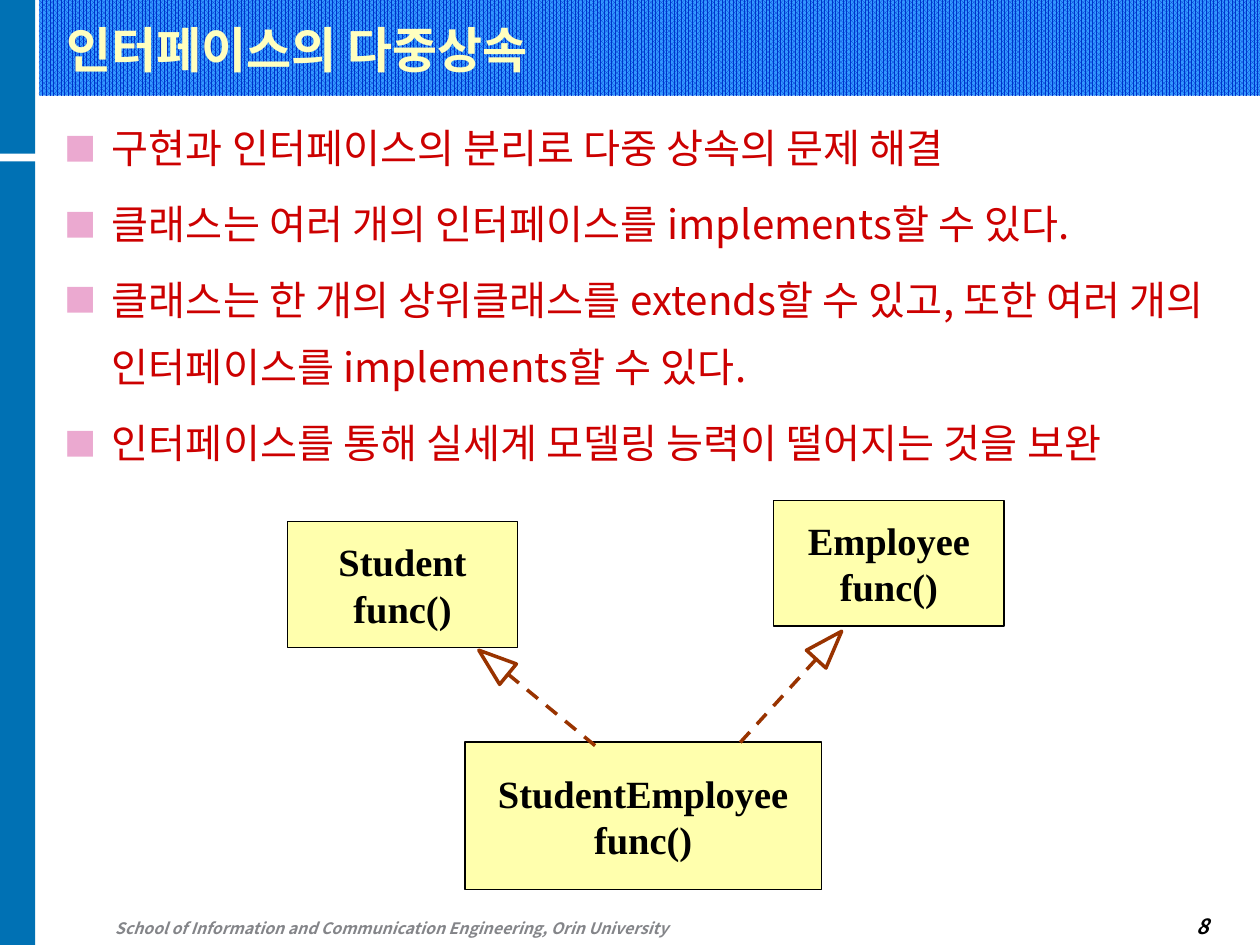
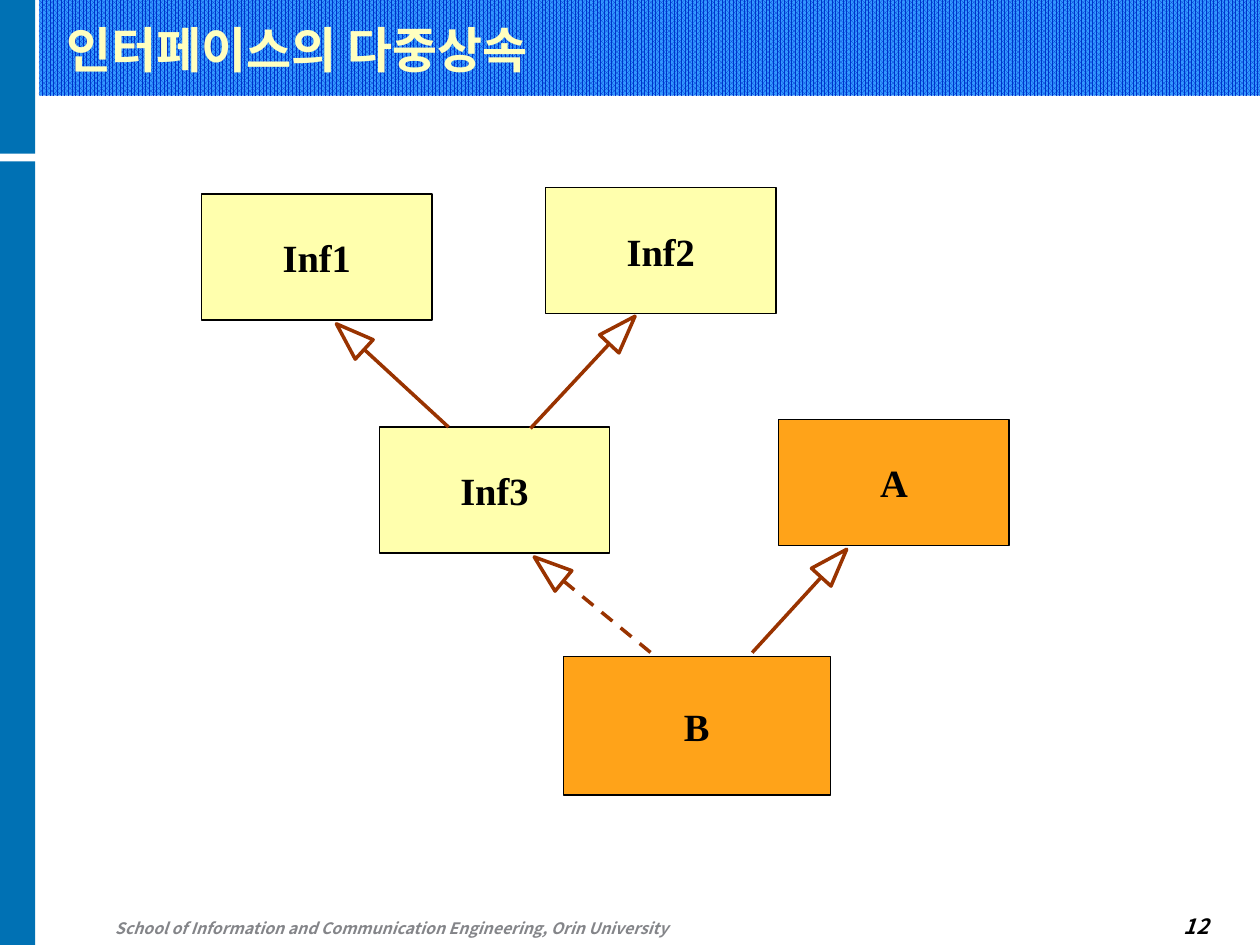
"""Two slides on multiple inheritance through interfaces, with class diagrams."""
import math
from dataclasses import dataclass

from lxml import etree
from pptx import Presentation
from pptx.dml.color import RGBColor
from pptx.enum.dml import MSO_LINE, MSO_PATTERN
from pptx.enum.shapes import MSO_CONNECTOR, MSO_SHAPE
from pptx.enum.text import MSO_ANCHOR, PP_ALIGN
from pptx.oxml.ns import qn
from pptx.util import Inches, Pt

RECTANGLE, TRIANGLE = MSO_SHAPE.RECTANGLE, MSO_SHAPE.ISOSCELES_TRIANGLE
STRAIGHT, DASH = MSO_CONNECTOR.STRAIGHT, MSO_LINE.DASH
DENSE_DOTS = MSO_PATTERN.PERCENT_80
TOP, MIDDLE, BOTTOM = MSO_ANCHOR.TOP, MSO_ANCHOR.MIDDLE, MSO_ANCHOR.BOTTOM
LEFT, CENTER, RIGHT = PP_ALIGN.LEFT, PP_ALIGN.CENTER, PP_ALIGN.RIGHT


@dataclass(frozen=True)
class Theme:
    """Colours, fonts and sizes shared by the slides."""
    band_dots: str = "0033CC"
    band_ground: str = "3399FF"
    side_bar: str = "0071B4"
    title: str = "FFFFBF"
    body: str = "CC0000"
    bullet: str = "EBA9D0"
    footer: str = "848589"
    ink: str = "000000"
    interface: str = "FFFFAD"
    concrete: str = "FF9900"
    arrow: str = "993300"
    text_font: str = "Noto Sans CJK KR"
    code_font: str = "Times New Roman"
    title_size: float = 28
    body_size: float = 23
    code_size: float = 22
    number_size: float = 12
    footer_size: float = 9
    outline: float = 0.75
    arrow_width: float = 2


FOOTER = "School of Information and Communication Engineering, Orin University"
TITLE = "인터페이스의 다중상속"
POINTS = (
    "구현과 인터페이스의 분리로 다중 상속의 문제 해결",
    "클래스는 여러 개의 인터페이스를 implements할 수 있다.",
    "클래스는 한 개의 상위클래스를 extends할 수 있고, 또한 여러 개의 인터페이스를 implements할 수 있다.",
    "인터페이스를 통해 실세계 모델링 능력이 떨어지는 것을 보완",
)
BOX_SIZE = (1.83, 1)
HEAD_WIDTH, HEAD_LENGTH = 0.21, 0.3


class Deck:
    """Holds the theme and the current slide, and draws each kind of element."""

    def __init__(self, theme):
        """Start an empty 10 by 7.5 inch presentation."""
        self.theme = theme
        self.presentation = Presentation()
        self.presentation.slide_width = Inches(10)
        self.presentation.slide_height = Inches(7.5)
        self.slide = None

    def new_slide(self, number):
        """Add a slide with its band, side bars, footer, number and title."""
        theme = self.theme
        self.slide = self.presentation.slides.add_slide(self.presentation.slide_layouts[6])
        band = self.shape(RECTANGLE, 0.31, 0, 9.69, 0.76)
        band.fill.patterned()
        band.fill.pattern = DENSE_DOTS
        band.fill.fore_color.rgb = RGBColor.from_string(theme.band_dots)
        band.fill.back_color.rgb = RGBColor.from_string(theme.band_ground)
        for top, height in ((0, 1.22), (1.28, 6.22)):
            self.shape(RECTANGLE, 0, top, 0.28, height, theme.side_bar)
        self.label(FOOTER, (0, 7.21, 6.21, 0.28), theme.footer_size, theme.footer, CENTER, True)
        self.label(number, (7.36, 7, 2.33, 0.5), theme.number_size, theme.ink, RIGHT, True)
        self.label(TITLE, (0.43, 0.13, 8.35, 0.54), theme.title_size, theme.title)

    def shape(self, kind, left, top, width, height, fill=None, line=None, weight=0):
        """Draw a preset shape without shadow."""
        shape = self.slide.shapes.add_shape(
            kind, Inches(left), Inches(top), Inches(width), Inches(height))
        shape.shadow.inherit = False
        if fill:
            shape.fill.solid()
            shape.fill.fore_color.rgb = RGBColor.from_string(fill)
        else:
            shape.fill.background()
        if line:
            shape.line.color.rgb = RGBColor.from_string(line)
            shape.line.width = Pt(weight)
        else:
            shape.line.fill.background()
        return shape

    def run(self, paragraph, text, font, size, color, bold=False, italic=False):
        """Add one styled run, with the same font for Latin and Korean."""
        run = paragraph.add_run()
        run.text = text
        run.font.name = font
        run.font.size = Pt(size)
        run.font.bold = bold
        run.font.italic = italic
        run.font.color.rgb = RGBColor.from_string(color)
        latin = run.font._element.find(qn("a:latin"))
        east_asian = etree.Element(qn("a:ea"), typeface=font)
        latin.addnext(east_asian)

    def text_frame(self, box, anchor):
        """Add a wrapping text box and return its text frame."""
        frame = self.slide.shapes.add_textbox(*map(Inches, box)).text_frame
        frame.word_wrap = True
        frame.vertical_anchor = anchor
        return frame

    def label(self, text, box, size, color, align=LEFT, italic=False):
        """Write one bold line standing on the bottom of its box."""
        paragraph = self.text_frame(box, BOTTOM).paragraphs[0]
        paragraph.alignment = align
        self.run(paragraph, text, self.theme.text_font, size, color, True, italic)

    def bullets(self, points, box):
        """Write a list with square bullets and a hanging indent."""
        theme = self.theme
        frame = self.text_frame(box, TOP)
        for index, point in enumerate(points):
            paragraph = frame.add_paragraph() if index else frame.paragraphs[0]
            paragraph.line_spacing = 1.4
            paragraph.space_before = Pt(theme.body_size * 0.2)
            properties = paragraph._p.get_or_add_pPr()
            properties.set("marL", str(Inches(0.38)))
            properties.set("indent", str(-Inches(0.38)))
            bullet_color = etree.SubElement(properties, qn("a:buClr"))
            etree.SubElement(bullet_color, qn("a:srgbClr"), val=theme.bullet)
            etree.SubElement(properties, qn("a:buSzPct"), val="80000")
            etree.SubElement(properties, qn("a:buFont"), typeface=theme.text_font)
            etree.SubElement(properties, qn("a:buChar"), char="■")
            self.run(paragraph, point, theme.text_font, theme.body_size, theme.body)

    def type_box(self, lines, left, top, size=BOX_SIZE, concrete=False):
        """Draw an interface box, or a slightly transparent class box."""
        theme = self.theme
        fill = theme.concrete if concrete else theme.interface
        box = self.shape(RECTANGLE, left, top, *size, fill, theme.ink, theme.outline)
        if concrete:
            fill_color = box._element.spPr.find(qn("a:solidFill")).find(qn("a:srgbClr"))
            etree.SubElement(fill_color, qn("a:alpha"), val="90000")
        frame = box.text_frame
        frame.word_wrap = False
        frame.vertical_anchor = MIDDLE
        for index, line in enumerate(lines):
            paragraph = frame.add_paragraph() if index else frame.paragraphs[0]
            paragraph.alignment = CENTER
            self.run(paragraph, line, theme.code_font, theme.code_size, theme.ink, True)

    def inheritance(self, child, parent, dashed=False):
        """Draw an arrow with a hollow head whose tip is at the parent point."""
        theme = self.theme
        (start_x, start_y), (tip_x, tip_y) = child, parent
        angle = math.atan2(tip_x - start_x, start_y - tip_y)
        step_x, step_y = HEAD_LENGTH * math.sin(angle), -HEAD_LENGTH * math.cos(angle)
        head = self.shape(
            TRIANGLE, tip_x - step_x / 2 - HEAD_WIDTH / 2, tip_y - step_y / 2 - HEAD_LENGTH / 2,
            HEAD_WIDTH, HEAD_LENGTH, line=theme.arrow, weight=theme.arrow_width)
        head.rotation = math.degrees(angle)
        stem = self.slide.shapes.add_connector(
            STRAIGHT, Inches(tip_x - step_x), Inches(tip_y - step_y),
            Inches(start_x), Inches(start_y))
        stem.line.color.rgb = RGBColor.from_string(theme.arrow)
        stem.line.width = Pt(theme.arrow_width)
        if dashed:
            stem.line.dash_style = DASH
        etree.SubElement(stem._element.spPr, qn("a:effectLst"))


def main():
    """Build both slides and save the presentation."""
    deck = Deck(Theme())

    deck.new_slide("8")
    deck.bullets(POINTS, (0.41, 0.78, 9.59, 4.99))
    deck.type_box(("Student", "func()"), 2.28, 4.14)
    deck.type_box(("Employee", "func()"), 6.14, 3.97)
    deck.type_box(("StudentEmployee", "func()"), 3.69, 5.89, (2.83, 1.17))
    deck.inheritance((5.85, 5.92), (6.68, 5.01), dashed=True)
    deck.inheritance((4.75, 5.94), (3.8, 5.16), dashed=True)

    deck.new_slide("12")
    deck.type_box(("Inf1",), 1.6, 1.54)
    deck.type_box(("Inf2",), 4.33, 1.49)
    deck.type_box(("B",), 4.47, 5.21, (2.12, 1.1), concrete=True)
    deck.type_box(("Inf3",), 3.01, 3.39)
    deck.type_box(("A",), 6.18, 3.33, concrete=True)
    deck.inheritance((5.97, 5.18), (6.72, 4.36))
    deck.inheritance((4.21, 3.4), (5.04, 2.51))
    deck.inheritance((3.56, 3.39), (2.67, 2.57))
    deck.inheritance((5.19, 5.2), (4.24, 4.42), dashed=True)

    deck.presentation.save("out.pptx")


if __name__ == "__main__":
    main()
